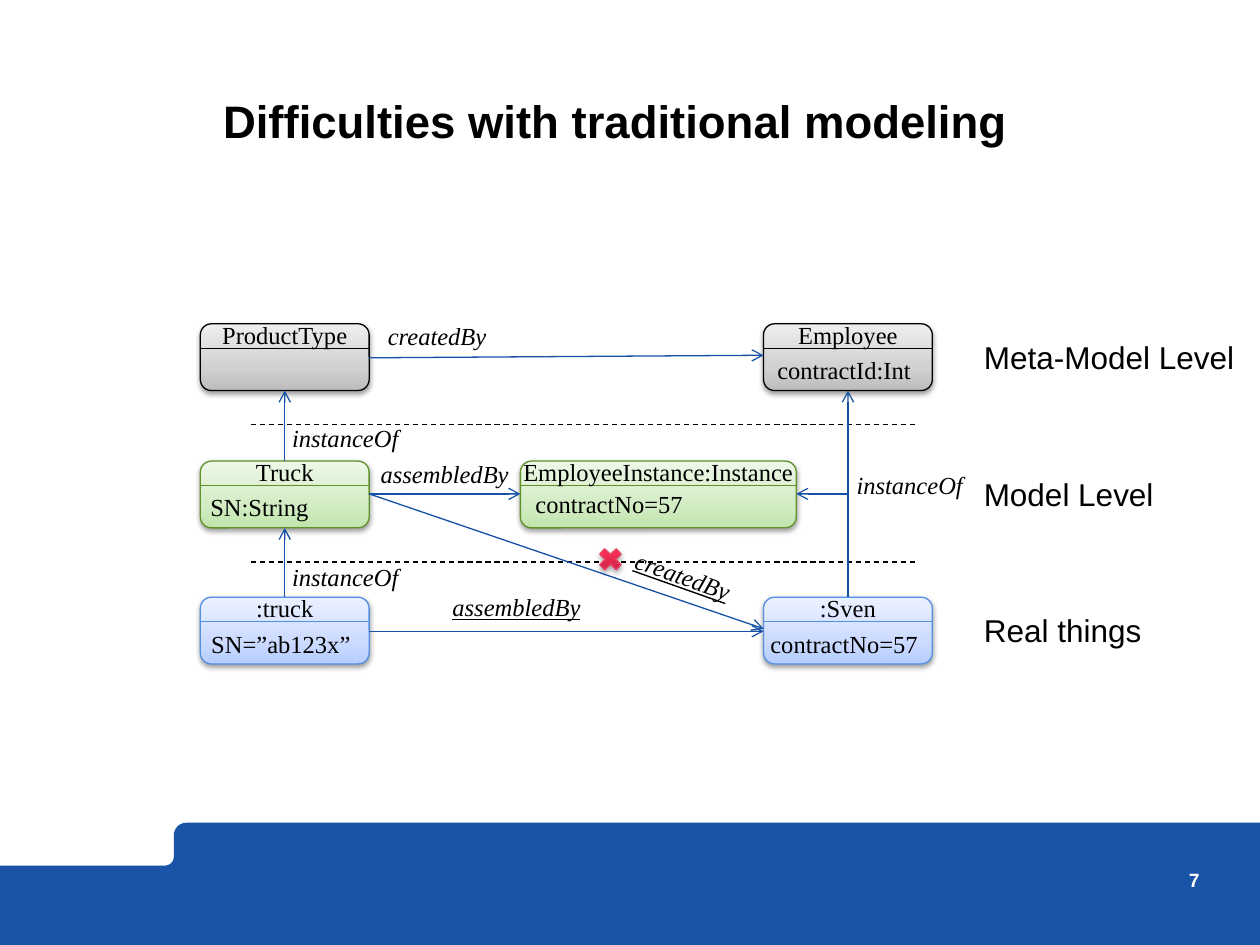
from math import cos, radians, sin

from pptx import Presentation
from pptx.dml.color import RGBColor
from pptx.enum import dml, shapes, text
from pptx.oxml import parse_xml
from pptx.oxml.ns import nsdecls, qn
from pptx.util import Inches, Pt

BLACK = RGBColor(0x00, 0x00, 0x00)
WHITE = RGBColor(0xFF, 0xFF, 0xFF)
BANNER_BLUE = RGBColor(0x19, 0x54, 0xA6)
ARROW_BLUE = RGBColor(0x15, 0x52, 0xA6)
GRAY_STOPS = ((0, RGBColor(0xBD, 0xBD, 0xBD)), (35, RGBColor(0xD1, 0xD1, 0xD1)),
              (100, RGBColor(0xEE, 0xEE, 0xEE)))
GREEN_LINE = RGBColor(0x60, 0x91, 0x2B)
GREEN_STOPS = ((0, RGBColor(0xC0, 0xE5, 0xAB)), (35, RGBColor(0xD3, 0xEC, 0xC5)),
               (100, RGBColor(0xEE, 0xF8, 0xE8)))
BLUE_LINE = RGBColor(0x53, 0x8F, 0xE3)
BLUE_STOPS = ((0, RGBColor(0xB7, 0xCD, 0xFF)), (35, RGBColor(0xCC, 0xDB, 0xFF)),
              (100, RGBColor(0xEB, 0xF1, 0xFF)))
RED_LINE = RGBColor(0xEB, 0x41, 0x64)
RED_STOPS = ((0, RGBColor(0xC3, 0x23, 0x43)), (80, RGBColor(0xFD, 0x2D, 0x58)),
             (100, RGBColor(0xFF, 0x2C, 0x57)))

SANS, SERIF = "Arial", "Times New Roman"
LEFT, CENTER, RIGHT = text.PP_ALIGN.LEFT, text.PP_ALIGN.CENTER, text.PP_ALIGN.RIGHT
PRODUCT_X, INSTANCE_X, EMPLOYEE_X = 1.59, 4.13, 6.06
META_Y, MODEL_Y, REAL_Y = 2.57, 3.66, 4.74
BOX_W, BOX_H = 1.34, 0.53
LABEL_H = 0.34


def add_text(slide, words, left, top, width, height=LABEL_H, *, size=14, font=SERIF,
             color=BLACK, align=CENTER, bold=False, italic=False, underline=False,
             rotation=0, inset=True, anchor=text.MSO_ANCHOR.TOP, spacing=None):
    box = slide.shapes.add_textbox(Inches(left), Inches(top), Inches(width), Inches(height))
    box.rotation = rotation
    frame = box.text_frame
    frame.word_wrap = True
    frame.vertical_anchor = anchor
    if not inset:
        frame.margin_left = frame.margin_right = frame.margin_top = frame.margin_bottom = 0
    paragraph = frame.paragraphs[0]
    paragraph.alignment = align
    if spacing:
        paragraph.line_spacing = Pt(spacing)
    run = paragraph.add_run()
    run.text = words
    run.font.name, run.font.size = font, Pt(size)
    run.font.color.rgb = color
    run.font.bold, run.font.italic, run.font.underline = bold, italic, underline


def add_gradient_shape(slide, kind, left, top, width, height, stops, line, opacity):
    shape = slide.shapes.add_shape(kind, Inches(left), Inches(top), Inches(width), Inches(height))
    shape.fill.gradient()
    shape.fill.gradient_angle = 90
    shape.line.color.rgb = line
    shape.line.width = Pt(0.75)
    shape.shadow.inherit = False
    properties = shape._element.spPr
    stop_list = properties.find(".//" + qn("a:gsLst"))
    stop_list.clear()
    for position, color in stops:
        stop_list.append(parse_xml(
            f'<a:gs {nsdecls("a")} pos="{position * 1000}"><a:srgbClr val="{color}"/></a:gs>'))
    properties.find(qn("a:effectLst")).append(parse_xml(
        f'<a:outerShdw {nsdecls("a")} blurRad="{Pt(3.1)}" dist="{Pt(1.6)}" dir="5400000" '
        f'rotWithShape="0"><a:srgbClr val="000000"><a:alpha val="{opacity * 1000}"/>'
        '</a:srgbClr></a:outerShdw>'))


def add_line(slide, start, end, color=ARROW_BLUE, arrow=False, dashed=False,
             kind=shapes.MSO_CONNECTOR.STRAIGHT):
    line = slide.shapes.add_connector(kind, *map(Inches, (*start, *end)))
    line.line.color.rgb = color
    line.line.width = Pt(0.75)
    if dashed:
        line.line.dash_style = dml.MSO_LINE.DASH
    properties = line._element.spPr
    if arrow:
        properties.find(qn("a:ln")).append(
            parse_xml(f'<a:tailEnd {nsdecls("a")} type="arrow"/>'))
    properties.append(parse_xml(f'<a:effectLst {nsdecls("a")}/>'))
    return line


def add_bent_arrow(slide, start, end):
    (x1, y1), (x2, y2) = start, end
    center_x, center_y = (x1 + x2) / 2, (y1 + y2) / 2
    half_run, half_rise = abs(y1 - y2) / 2, abs(x1 - x2) / 2
    arrow = add_line(slide, (center_x - half_run, center_y + half_rise),
                     (center_x + half_run, center_y - half_rise), arrow=True,
                     kind=shapes.MSO_CONNECTOR.ELBOW)
    properties = arrow._element.spPr
    properties.find(qn("a:xfrm")).set("rot", "16200000")
    properties.find(qn("a:prstGeom")).set("prst", "bentConnector2")


def add_class_box(slide, name, left, top, stops, line, attribute=None, width=BOX_W,
                  shift=-0.03, name_rise=0.08, attribute_drop=0.2):
    add_gradient_shape(slide, shapes.MSO_SHAPE.ROUNDED_RECTANGLE, left, top, width, BOX_H,
                       stops, line, 38)
    divider = top + 0.195
    add_line(slide, (left, divider), (left + width, divider), line)
    add_text(slide, name, left - 0.1, top - name_rise, width + 0.2)
    if attribute:
        add_text(slide, attribute, left + width / 2 + shift - 0.8, top + attribute_drop, 1.6)


def arc(center_x, center_y, radius, first, last):
    return [(center_x + radius * cos(radians(first + (last - first) * i / 8)),
             center_y + radius * sin(radians(first + (last - first) * i / 8)))
            for i in range(9)]


def add_banner(slide):
    outline = [*arc(1.31, 6.8, 0.07, 90, 0), *arc(1.48, 6.63, 0.1, 180, 270),
               (10, 6.53), (10, 7.5), (0, 7.5)]
    builder = slide.shapes.build_freeform(0, Inches(6.87))
    builder.add_line_segments([(Inches(x), Inches(y)) for x, y in outline])
    banner = builder.convert_to_shape()
    banner.fill.solid()
    banner.fill.fore_color.rgb = BANNER_BLUE
    banner.line.fill.background()
    banner.shadow.inherit = False


def main():
    deck = Presentation()
    deck.slide_width, deck.slide_height = Inches(10), Inches(7.5)
    slide = deck.slides.add_slide(deck.slide_layouts[6])

    add_banner(slide)
    add_text(slide, "Difficulties with traditional modeling", 1.77, 0.44, 7.59, 0.73, size=26,
             font=SANS, bold=True, align=LEFT, inset=False, spacing=30,
             anchor=text.MSO_ANCHOR.BOTTOM)
    add_text(slide, "7", 8.94, 6.89, 0.58, 0.4, size=11, font=SANS, color=WHITE, bold=True,
             align=RIGHT, inset=False)

    for divide_y in (3.37, 4.46):
        add_line(slide, (1.99, divide_y), (7.29, divide_y), BLACK, dashed=True)
    for level, top, width in (("Meta-Model Level", META_Y, 2.22), ("Model Level", MODEL_Y, 1.63),
                              ("Real things", REAL_Y, 1.49)):
        add_text(slide, level, 7.71, top + 0.06, width, 0.4, size=18, font=SANS, align=LEFT)

    gray, green, blue = (GRAY_STOPS, BLACK), (GREEN_STOPS, GREEN_LINE), (BLUE_STOPS, BLUE_LINE)
    add_class_box(slide, "ProductType", PRODUCT_X, META_Y, *gray)
    add_class_box(slide, "Employee", EMPLOYEE_X, META_Y, *gray, "contractId:Int")
    add_class_box(slide, "Truck", PRODUCT_X, MODEL_Y, *green, "SN:String", shift=-0.2)
    add_class_box(slide, "EmployeeInstance:Instance", INSTANCE_X, MODEL_Y, *green,
                  "contractNo=57", width=2.19, shift=-0.39, attribute_drop=0.17)
    add_class_box(slide, ":truck", PRODUCT_X, REAL_Y, *blue, "SN=”ab123x”")
    add_class_box(slide, ":Sven", EMPLOYEE_X, REAL_Y, *blue, "contractNo=57")

    product_mid, employee_mid = PRODUCT_X + BOX_W / 2, EMPLOYEE_X + BOX_W / 2
    product_right = PRODUCT_X + BOX_W
    for start, end in (
            ((product_mid, REAL_Y), (product_mid, MODEL_Y + BOX_H)),
            ((product_mid, MODEL_Y), (product_mid, META_Y + BOX_H)),
            ((employee_mid, REAL_Y), (employee_mid, META_Y + BOX_H)),
            ((product_right, 2.84), (EMPLOYEE_X, 2.82)),
            ((product_right, 3.92), (EMPLOYEE_X, 4.99)),
            ((product_right, 3.92), (INSTANCE_X, 3.92)),
            ((product_right, 5.01), (EMPLOYEE_X, 5.01))):
        add_line(slide, start, end, arrow=True)
    add_bent_arrow(slide, (employee_mid, 4.66), (6.32, 3.92))

    for left, top in ((2.22, 4.41), (2.22, 3.31), (6.7, 3.68)):
        add_text(slide, "instanceOf", left, top, 1.1, align=LEFT, italic=True)
    for relation, left, top, underline, rotation in (
            ("createdBy", 2.85, 2.5, False, 0), ("createdBy", 4.8, 4.4, True, 19.5),
            ("assembledBy", 2.91, 3.59, False, 0), ("assembledBy", 3.48, 4.65, True, 0)):
        add_text(slide, relation, left, top, 1.24, italic=True, underline=underline,
                 rotation=rotation)
    add_gradient_shape(slide, shapes.MSO_SHAPE.MATH_MULTIPLY, 4.72, 4.32, 0.25, 0.24,
                       RED_STOPS, RED_LINE, 35)

    deck.save("out.pptx")


if __name__ == "__main__":
    main()
